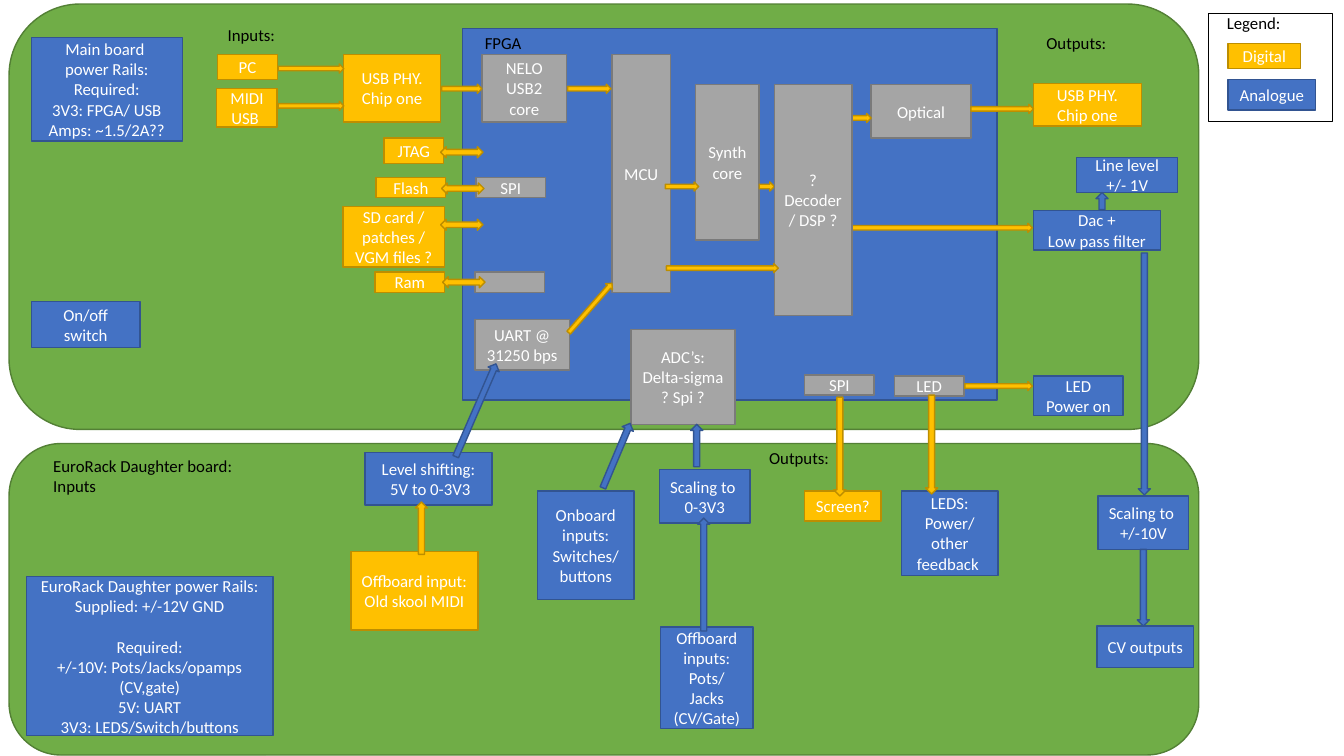
"""Block diagram of a synthesiser main board and its EuroRack daughter board."""
import math
from dataclasses import dataclass

from pptx import Presentation
from pptx import util as u
from pptx.dml.color import RGBColor
from pptx.enum import shapes, text


@dataclass(frozen=True)
class Theme:
    """Colours as (fill, line) pairs, and type settings."""
    board: tuple = ("70AD47", "538035")
    analogue: tuple = ("4472C4", "325491")
    digital: tuple = ("FFC000", "BD8E00")
    core: tuple = ("A5A5A5", "7A7A7A")
    frame: tuple = (None, "000000")
    light: str = "FFFFFF"
    dark: str = "000000"
    font: str = "Calibri"
    size: int = 12
    gap: float = 14.65


THEME = Theme()
KIND = shapes.MSO_SHAPE

BOARDS = [(0.09, 0.04, 11.8, 4.22), (0.09, 4.4, 11.8, 3.09)]
FPGA = (4.59, 0.28, 5.3, 3.69)
LEGEND = (11.99, 0.13, 1.23, 1.08)

LABELS = [
    (0.43, 4.47, 2.04, 0.5, "EuroRack Daughter board: Inputs"),
    (7.53, 4.39, 0.82, 0.3, "Outputs:"),
    (2.16, 0.2, 2, 0.24, "Inputs:"),
    (10.28, 0.28, 1.33, 0.24, "Outputs:"),
    (4.71, 0.28, 0.63, 0.24, "FPGA"),
    (12.07, 0.08, 0.83, 0.3, "Legend:"),
]

ANALOGUE_BLOCKS = [
    (5.33, 4.87, 0.96, 1.08, "Onboard inputs:\nSwitches/\nbuttons"),
    (6.55, 6.22, 0.92, 1.01, "Offboard inputs:\nPots/\nJacks\n(CV/Gate)"),
    (10.88, 6.21, 0.96, 0.41, "CV outputs"),
    (6.54, 4.66, 0.9, 0.53, "Scaling to \n0-3V3"),
    (8.94, 4.87, 0.96, 0.84, "LEDS:\nPower/\nother feedback "),
    (10.25, 3.73, 0.89, 0.39, "LED Power on"),
    (10.25, 2.09, 1.26, 0.39, "Dac +\nLow pass filter"),
    (10.68, 1.56, 1, 0.35, "Line level +/- 1V"),
    (12.18, 0.79, 0.87, 0.3, "Analogue"),
    (0.31, 0.37, 1.5, 1.03,
     "Main board \npower Rails:\nRequired:\n3V3: FPGA/ USB\nAmps: ~1.5/2A??"),
    (0.31, 2.99, 1.08, 0.46, "On/off switch"),
    (3.62, 4.49, 1.26, 0.52, "Level shifting:\n 5V to 0-3V3"),
    (10.89, 4.92, 0.9, 0.53, "Scaling to \n+/-10V"),
]
DAUGHTER_RAILS = (
    0.26, 5.72, 2.45, 1.58,
    "EuroRack Daughter power Rails:\nSupplied: +/-12V GND\nRequired:\n"
    "+/-10V: Pots/Jacks/opamps (CV,gate)\n5V: UART\n3V3: LEDS/Switch/buttons")

DIGITAL_BLOCKS = [
    (3.48, 5.47, 1.26, 0.78, "Offboard input:\nOld skool MIDI"),
    (7.98, 4.87, 0.76, 0.3, "Screen?"),
    (2.16, 0.54, 0.59, 0.25, "PC"),
    (2.15, 0.88, 0.6, 0.38, "MIDI USB "),
    (3.41, 0.54, 0.96, 0.67, "USB PHY. Chip one"),
    (3.4, 2.05, 1.01, 0.6, "SD card / patches /\nVGM files ?"),
    (10.25, 0.83, 1.07, 0.42, "USB PHY. Chip one"),
    (12.18, 0.43, 0.72, 0.25, "Digital"),
    (3.73, 1.76, 0.69, 0.2, "Flash"),
    (3.72, 2.7, 0.69, 0.2, "Ram"),
    (3.81, 1.37, 0.59, 0.25, "JTAG"),
]

CORE_BLOCKS = [
    (4.78, 0.54, 0.84, 0.67, "NELO USB2 core"),
    (4.71, 3.17, 0.94, 0.5, "UART @ 31250 bps"),
    (6.9, 0.84, 0.63, 1.54, "Synth core"),
    (6.07, 0.54, 0.58, 2.36, "MCU"),
    (8.64, 0.84, 0.99, 0.53, "Optical"),
    (8.87, 3.73, 0.69, 0.2, "LED"),
    (7.98, 3.72, 0.69, 0.2, "SPI"),
    (4.72, 1.76, 0.69, 0.2, "SPI"),
    (4.71, 2.7, 0.69, 0.2, ""),
    (6.26, 3.27, 1.03, 0.94, "ADC’s:\nDelta-sigma ? Spi ?"),
]
DSP = (7.68, 0.84, 0.77, 2.29, "? Decoder / DSP ?")

DIGITAL_ARROWS = [
    (2.76, 1.05, 3.41, 1.05), (2.76, 0.68, 3.41, 0.68),
    (4.38, 0.88, 4.78, 0.88), (5.63, 0.88, 6.06, 0.88),
    (5.64, 3.3, 6.07, 2.81), (6.6, 1.85, 6.93, 1.85),
    (8.4, 1.17, 8.64, 1.17), (9.63, 1.08, 10.25, 1.08),
    (8.4, 2.26, 10.24, 2.26), (9.57, 3.83, 10.24, 3.83),
    (7.53, 1.85, 7.68, 1.85),
]
MCU_TO_DSP = (6.61, 2.66, 7.72, 2.66)
DOWNLINK_ARROWS = [
    (8.33, 3.94, 8.33, 4.92), (9.24, 3.92, 9.24, 4.9),
    (4.18, 5.5, 4.18, 4.98),
]
ANALOGUE_ARROWS = [
    (11.35, 2.51, 11.35, 4.91), (10.93, 2.08, 10.93, 1.91),
    (5.98, 4.84, 6.25, 4.2), (6.91, 4.63, 6.91, 4.21),
    (6.98, 6.26, 6.98, 5.14), (4.52, 4.53, 4.92, 3.61),
    (11.34, 5.45, 11.34, 6.21),
]
TWO_WAY_ARROWS = [
    (4.37, 1.51, 4.79, 1.51), (4.38, 1.87, 4.8, 1.87),
    (4.37, 2.23, 4.79, 2.23), (4.39, 2.8, 4.81, 2.8),
]


def add_text(frame, words, colour, align):
    """Write one paragraph per line of words."""
    frame.word_wrap = True
    for index, line in enumerate(words.split("\n")):
        para = frame.paragraphs[0] if index == 0 else frame.add_paragraph()
        para.alignment = align
        span = para.add_run()
        span.text = line
        span.font.name, span.font.size = THEME.font, u.Pt(THEME.size)
        span.font.color.rgb = RGBColor.from_string(colour)


def add_block(page, colours, left, top, width, height, words="",
              kind=KIND.RECTANGLE, weight=1):
    """Add a filled, outlined shape with centred words."""
    box = page.shapes.add_shape(kind, *map(u.Inches, (left, top, width, height)))
    box.shadow.inherit = False
    fill, line = colours
    if fill:
        box.fill.solid()
        box.fill.fore_color.rgb = RGBColor.from_string(fill)
    else:
        box.fill.background()
    box.line.color.rgb = RGBColor.from_string(line)
    box.line.width = u.Pt(weight)
    if words:
        box.text_frame.vertical_anchor = text.MSO_ANCHOR.MIDDLE
        add_text(box.text_frame, words, THEME.light, text.PP_ALIGN.CENTER)
    return box


def add_label(page, left, top, width, height, words):
    """Add dark text without a box."""
    box = page.shapes.add_textbox(*map(u.Inches, (left, top, width, height)))
    add_text(box.text_frame, words, THEME.dark, text.PP_ALIGN.LEFT)
    box.text_frame.auto_size = text.MSO_AUTO_SIZE.SHAPE_TO_FIT_TEXT


def add_arrow(page, colours, ends, thickness, kind=KIND.RIGHT_ARROW):
    """Add a block arrow between two points, turned to its direction."""
    x1, y1, x2, y2 = ends
    length = math.hypot(x2 - x1, y2 - y1)
    left, top = (x1 + x2 - length) / 2, (y1 + y2 - thickness) / 2
    arrow = add_block(page, colours, left, top, length, thickness, kind=kind)
    arrow.rotation = math.degrees(math.atan2(y2 - y1, x2 - x1)) % 360


def main():
    """Build the slide and save it."""
    deck = Presentation()
    deck.slide_width, deck.slide_height = u.Inches(13.33), u.Inches(7.5)
    page = deck.slides.add_slide(deck.slide_layouts[6])
    for board in BOARDS:
        add_block(page, THEME.board, *board, kind=KIND.ROUNDED_RECTANGLE)
    add_block(page, THEME.analogue, *FPGA)
    add_block(page, THEME.frame, *LEGEND, weight=0.75)
    for colours, blocks in ((THEME.analogue, ANALOGUE_BLOCKS),
                            (THEME.digital, DIGITAL_BLOCKS),
                            (THEME.core, CORE_BLOCKS)):
        for block in blocks:
            add_block(page, colours, *block)
    rails = add_block(page, THEME.analogue, *DAUGHTER_RAILS)
    rails.text_frame.paragraphs[2].space_before = u.Pt(THEME.gap)
    for ends in DIGITAL_ARROWS:
        add_arrow(page, THEME.digital, ends, 0.09)
    add_block(page, THEME.core, *DSP)
    add_arrow(page, THEME.digital, MCU_TO_DSP, 0.09)
    for ends in TWO_WAY_ARROWS:
        add_arrow(page, THEME.digital, ends, 0.11, KIND.LEFT_RIGHT_ARROW)
    for ends in DOWNLINK_ARROWS:
        add_arrow(page, THEME.digital, ends, 0.12)
    for ends in ANALOGUE_ARROWS:
        add_arrow(page, THEME.analogue, ends, 0.12)
    for label in LABELS:
        add_label(page, *label)
    deck.save("out.pptx")


if __name__ == "__main__":
    main()
